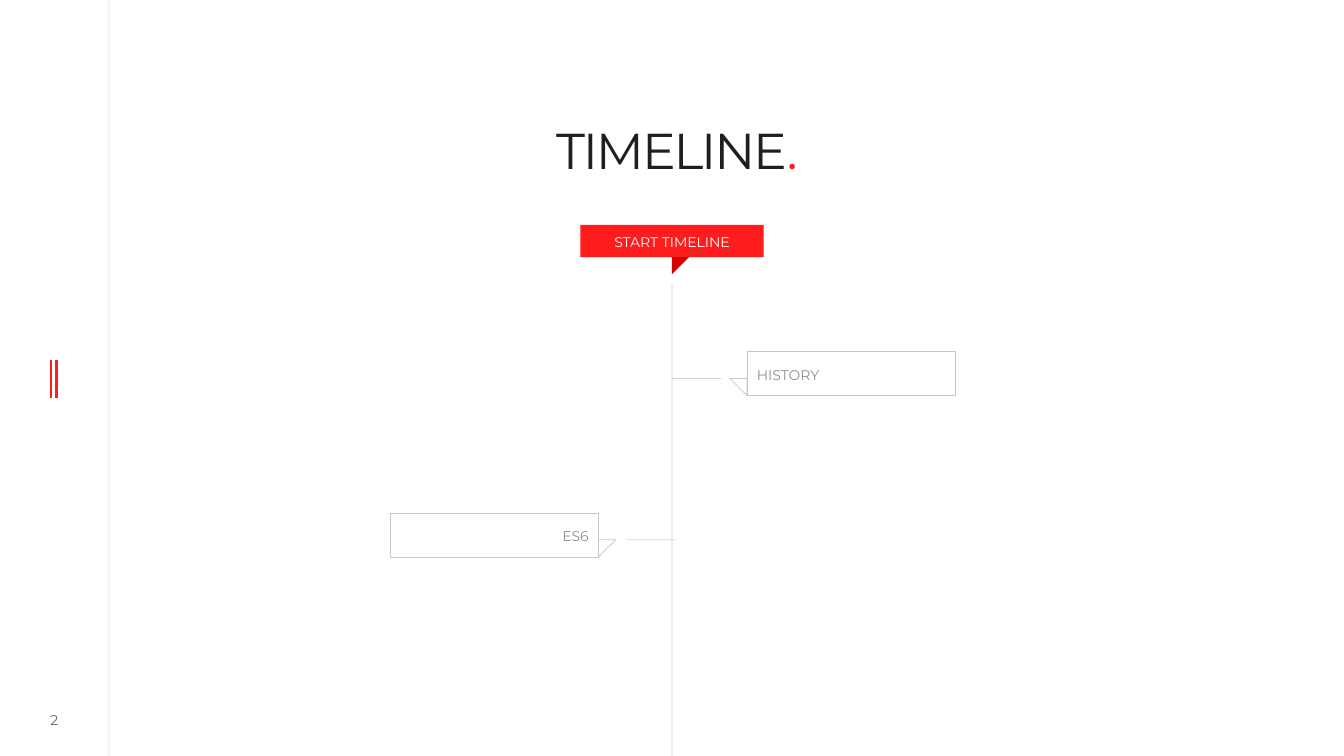
"""Build the timeline slide with two labelled branches."""
from dataclasses import dataclass

import lxml.etree
import pptx
import pptx.dml.color
import pptx.enum.shapes
import pptx.enum.text
import pptx.oxml.ns
import pptx.util

WIDTH = pptx.util.Inches(13.333)
HEIGHT = pptx.util.Inches(7.5)
FONT = "Montserrat"
COLORS = {
    "ink": "1F1F1F",
    "red": "FE1C1D",
    "dark_red": "D30102",
    "border": "C7C7C7",
    "label": "8F8F8F",
    "white": "FFFFFF",
}
AXIS = 50
TIP_WIDTH, TIP_HEIGHT = 1.27, 2.27
LABEL_WIDTH, LABEL_HEIGHT = 15.52, 5.8
ALIGN = pptx.enum.text.PP_ALIGN
SHAPE = pptx.enum.shapes.MSO_SHAPE


@dataclass(frozen=True)
class Box:
    """Position and size in percent of the slide."""
    left: float
    top: float
    width: float
    height: float

    def lengths(self) -> tuple[int, int, int, int]:
        return (across(self.left), down(self.top),
                across(self.width), down(self.height))


@dataclass(frozen=True)
class Rule:
    """Straight line in percent of the slide."""
    x1: float
    y1: float
    x2: float
    y2: float
    color: str = "ink"
    weight: float = 0.5
    opacity: int = 20


@dataclass(frozen=True)
class Milestone:
    """Label beside the axis with a tip pointing towards it."""
    text: str
    left: float
    top: float
    align: ALIGN
    tip_left: float
    tip_rotation: int
    branch: tuple[float, float]

    @property
    def tip_top(self) -> float:
        return self.top + LABEL_HEIGHT - TIP_HEIGHT


MILESTONES = [
    Milestone("HISTORY", 55.58, 46.53, ALIGN.LEFT, 55.58 - TIP_WIDTH, 180, (AXIS, 53.63)),
    Milestone("ES6", 29.02, 67.87, ALIGN.RIGHT, 29.02 + LABEL_WIDTH, 90, (46.65, 50.25)),
]
RULES = [
    Rule(8.1, 0, 8.1, 100),
    *(Rule(x, 47.6, x, 52.67, "red", 2, 100) for x in (3.8, 4.2)),
    Rule(AXIS, 37.47, AXIS, 100),
    *(Rule(stone.branch[0], stone.tip_top, stone.branch[1], stone.tip_top)
      for stone in MILESTONES),
]


def across(share: float) -> int:
    return round(WIDTH * share / 100)


def down(share: float) -> int:
    return round(HEIGHT * share / 100)


def rgb(name: str) -> pptx.dml.color.RGBColor:
    return pptx.dml.color.RGBColor.from_string(COLORS[name])


def set_opacity(element, percent: int) -> None:
    for color in element.iter(pptx.oxml.ns.qn("a:srgbClr")):
        alpha = lxml.etree.SubElement(color, pptx.oxml.ns.qn("a:alpha"))
        alpha.set("val", str(percent * 1000))


def draw_rule(slide, rule: Rule) -> None:
    connector = slide.shapes.add_connector(
        pptx.enum.shapes.MSO_CONNECTOR.STRAIGHT,
        across(rule.x1), down(rule.y1), across(rule.x2), down(rule.y2))
    connector.line.color.rgb = rgb(rule.color)
    connector.line.width = pptx.util.Pt(rule.weight)
    properties = connector.line._get_or_add_ln().getparent()
    if rule.opacity < 100:
        set_opacity(properties, rule.opacity)
    lxml.etree.SubElement(properties, pptx.oxml.ns.qn("a:effectLst"))


def draw_shape(shapes, kind: SHAPE, box: Box, fill: str = "", line: str = "",
               rotation: int = 0):
    shape = shapes.add_shape(kind, *box.lengths())
    shape.shadow.inherit = False
    shape.rotation = rotation
    if fill:
        shape.fill.solid()
        shape.fill.fore_color.rgb = rgb(fill)
    else:
        shape.fill.background()
    if line:
        shape.line.color.rgb = rgb(line)
        shape.line.width = pptx.util.Pt(0.5)
    else:
        shape.line.fill.background()
    return shape


def set_margins(frame, left: float, top: float, right: float, bottom: float) -> None:
    frame.margin_left = pptx.util.Inches(left)
    frame.margin_top = pptx.util.Inches(top)
    frame.margin_right = pptx.util.Inches(right)
    frame.margin_bottom = pptx.util.Inches(bottom)


def format_run(run, size: float, color: str) -> None:
    run.font.name = FONT
    run.font.size = pptx.util.Pt(size)
    run.font.color.rgb = rgb(color)


def write(shape, text: str, color: str, align: ALIGN, side: float = 0,
          top: float = 0.07, bottom: float = 0.05) -> None:
    frame = shape.text_frame
    frame.text = text
    frame.word_wrap = True
    frame.vertical_anchor = pptx.enum.text.MSO_ANCHOR.MIDDLE
    set_margins(frame, side, top, side, bottom)
    paragraph = frame.paragraphs[0]
    paragraph.alignment = align
    format_run(paragraph.runs[0], 10, color)


def draw_title(slide) -> None:
    title = slide.shapes.title
    title.left, title.top, title.width, title.height = Box(15.3, 14.53, 69.53, 10.8).lengths()
    frame = title.text_frame
    frame.text = "TIMELINE"
    frame.word_wrap = True
    frame.auto_size = pptx.enum.text.MSO_AUTO_SIZE.NONE
    frame.vertical_anchor = pptx.enum.text.MSO_ANCHOR.TOP
    set_margins(frame, 0.08, 0.21, 0, 0)
    paragraph = frame.paragraphs[0]
    paragraph.alignment = ALIGN.CENTER
    paragraph.line_spacing = 0.8
    paragraph.add_run().text = "."
    for run, color in zip(paragraph.runs, ("ink", "red")):
        format_run(run, 36, color)
        run.font._element.set("spc", "-150")


def draw_milestone(slide, milestone: Milestone) -> None:
    group = slide.shapes.add_group_shape()
    label = draw_shape(
        group.shapes, SHAPE.RECTANGLE,
        Box(milestone.left, milestone.top, LABEL_WIDTH, LABEL_HEIGHT), line="border")
    write(label, milestone.text, "label", milestone.align, side=0.1)
    draw_shape(
        group.shapes, SHAPE.RIGHT_TRIANGLE,
        Box(milestone.tip_left, milestone.tip_top, TIP_WIDTH, TIP_HEIGHT),
        line="border", rotation=milestone.tip_rotation)


def main() -> None:
    presentation = pptx.Presentation()
    presentation.slide_width, presentation.slide_height = WIDTH, HEIGHT
    slide = presentation.slides.add_slide(presentation.slide_layouts[5])
    draw_title(slide)
    for rule in RULES:
        draw_rule(slide, rule)
    number = slide.shapes.add_textbox(*Box(1.95, 93.6, 4.2, 3.33).lengths())
    write(number, "2", "ink", ALIGN.CENTER, top=0, bottom=0)
    set_opacity(number.text_frame._txBody, 70)
    start = draw_shape(slide.shapes, SHAPE.RECTANGLE, Box(43.18, 29.73, 13.64, 4.27), "red")
    write(start, "START TIMELINE", "white", ALIGN.CENTER)
    draw_shape(slide.shapes, SHAPE.RIGHT_TRIANGLE,
               Box(AXIS, 34, TIP_WIDTH, TIP_HEIGHT), "dark_red", rotation=90)
    for milestone in MILESTONES:
        draw_milestone(slide, milestone)
    presentation.save("out.pptx")


if __name__ == "__main__":
    main()
